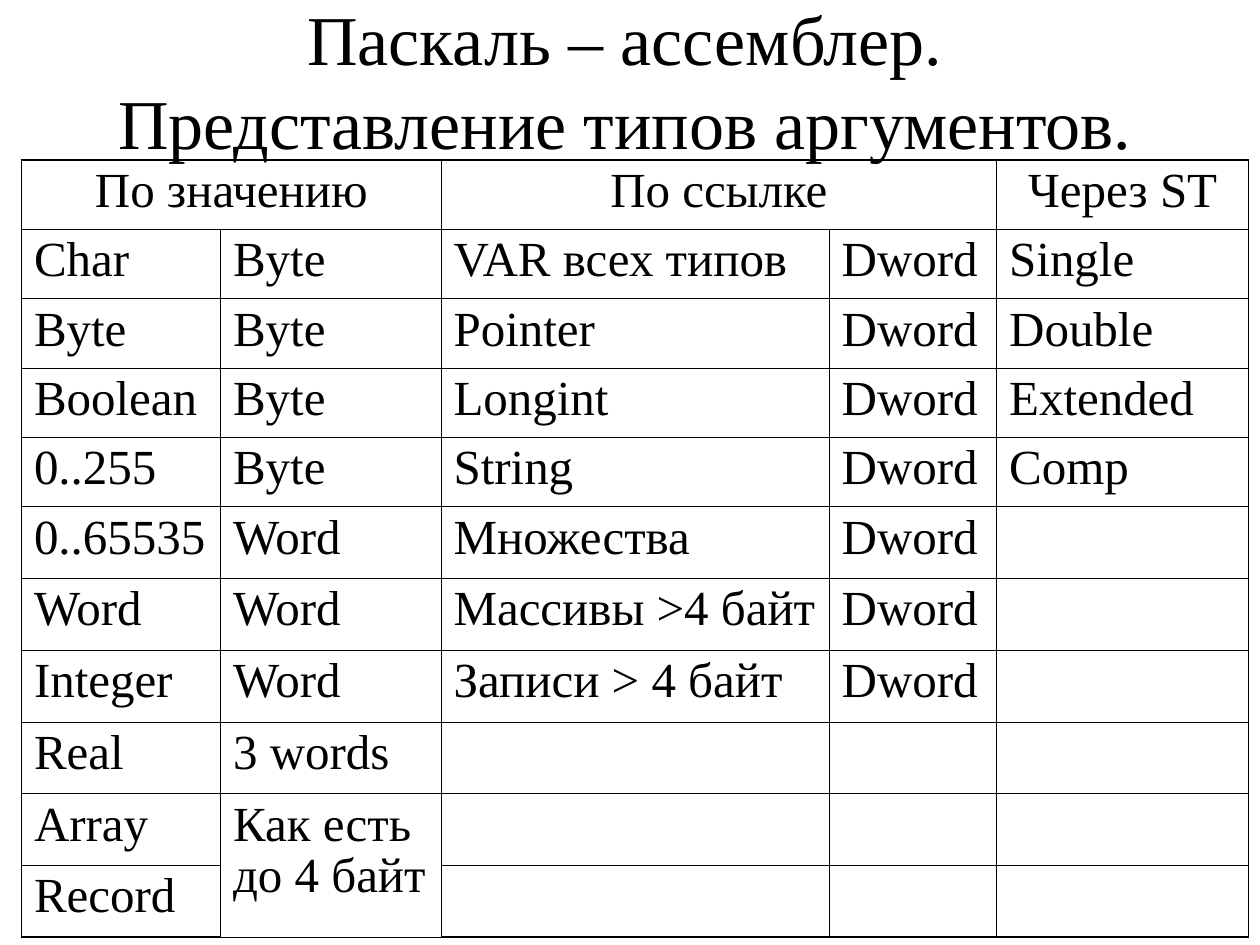
from lxml.etree import SubElement
from pptx import Presentation
from pptx.dml.color import RGBColor
from pptx.enum.text import MSO_ANCHOR, MSO_AUTO_SIZE, PP_ALIGN
from pptx.oxml.ns import qn
from pptx.util import Inches, Pt

BLACK = RGBColor(0, 0, 0)
FONT = "Times New Roman"
OUTER_LINE, INNER_LINE = Pt(1.08), Pt(0.45)

TITLE = "Паскаль – ассемблер.\nПредставление типов аргументов."
ROWS = [
    ("По значению", "", "По ссылке", "", "Через ST"),
    ("Char", "Byte", "VAR всех типов", "Dword", "Single"),
    ("Byte", "Byte", "Pointer", "Dword", "Double"),
    ("Boolean", "Byte", "Longint", "Dword", "Extended"),
    ("0..255", "Byte", "String", "Dword", "Comp"),
    ("0..65535", "Word", "Множества", "Dword", ""),
    ("Word", "Word", "Массивы >4 байт", "Dword", ""),
    ("Integer", "Word", "Записи > 4 байт", "Dword", ""),
    ("Real", "3 words", "", "", ""),
    ("Array", "Как есть до 4 байт", "", "", ""),
    ("Record", "", "", "", ""),
]
COLUMN_WIDTHS = [1.58, 1.75, 3.08, 1.33, 2]
ROW_HEIGHTS = [0.55] * 5 + [0.57] * 6
MERGES = [((0, 0), (0, 1)), ((0, 2), (0, 3)), ((9, 1), (10, 1))]


def write(frame, text, size, align=PP_ALIGN.LEFT, spacing=None):
    paragraph = frame.paragraphs[0]
    paragraph.text = text
    paragraph.alignment = align
    paragraph.line_spacing = spacing
    for span in paragraph.runs:
        span.font.name = FONT
        span.font.size = Pt(size)
        span.font.color.rgb = BLACK


def set_borders(cell, widths):
    """Draw the left, right, top and bottom lines; they must precede the fill."""
    properties = cell._tc.get_or_add_tcPr()
    for side, width in zip("LRTB", widths):
        line = SubElement(properties, qn(f"a:ln{side}"), w=str(width))
        fill = SubElement(line, qn("a:solidFill"))
        SubElement(fill, qn("a:srgbClr"), val=str(BLACK))


def add_title(page):
    title = page.shapes.title
    title.left, title.top = Inches(0.17), Inches(0.17)
    title.width, title.height = Inches(9.58), Inches(0.92)
    frame = title.text_frame
    frame.auto_size = MSO_AUTO_SIZE.NONE
    frame.word_wrap = True
    frame.vertical_anchor = MSO_ANCHOR.MIDDLE
    write(frame, TITLE, 40, align=PP_ALIGN.CENTER)


def add_type_table(page):
    last_row, last_column = len(ROWS) - 1, len(COLUMN_WIDTHS) - 1
    table = page.shapes.add_table(
        len(ROWS), len(COLUMN_WIDTHS), Inches(0.17), Inches(1.27),
        Inches(sum(COLUMN_WIDTHS)), Inches(sum(ROW_HEIGHTS))).table
    table.first_row = table.horz_banding = False
    for column, width in zip(table.columns, COLUMN_WIDTHS):
        column.width = Inches(width)
    for row, height in zip(table.rows, ROW_HEIGHTS):
        row.height = Inches(height)
    for start, end in MERGES:
        table.cell(*start).merge(table.cell(*end))

    for r, values in enumerate(ROWS):
        for c, value in enumerate(values):
            cell = table.cell(r, c)
            on_edge = (c == 0, c == last_column, r == 0, r == last_row)
            set_borders(cell, [OUTER_LINE if edge else INNER_LINE for edge in on_edge])
            cell.fill.background()
            if value:
                write(cell.text_frame, value, 28, spacing=0.95,
                      align=PP_ALIGN.CENTER if r == 0 else PP_ALIGN.LEFT)


def main():
    deck = Presentation()
    deck.slide_width, deck.slide_height = Inches(10), Inches(7.5)
    page = deck.slides.add_slide(deck.slide_layouts[5])
    add_title(page)
    add_type_table(page)
    deck.save("out.pptx")


if __name__ == "__main__":
    main()
